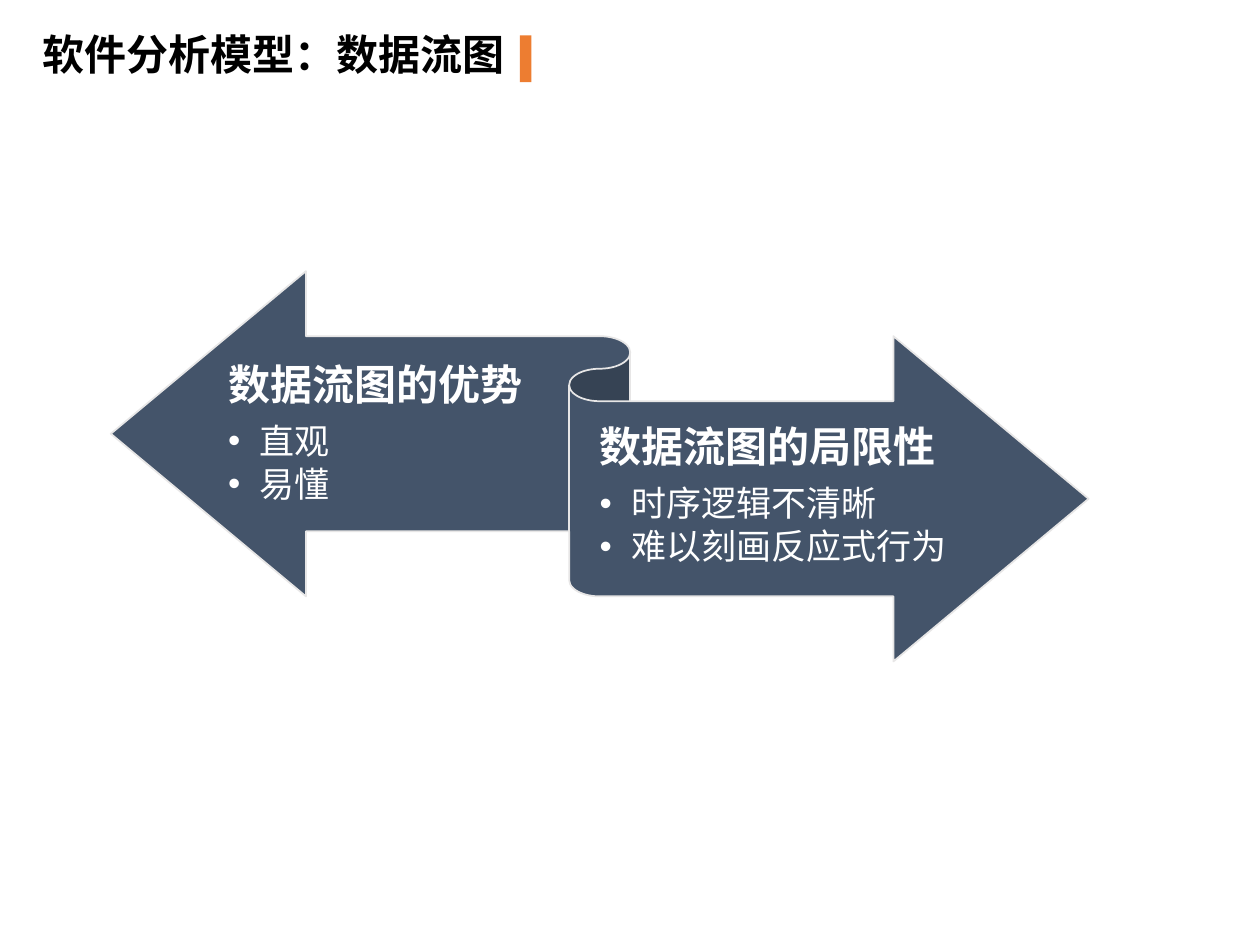
from dataclasses import dataclass

from lxml import etree
from pptx import Presentation
from pptx import util as u
from pptx.dml.color import RGBColor
from pptx.enum import shapes, text
from pptx.oxml.ns import qn


@dataclass(frozen=True)
class Theme:
    """Colours, font and type sizes of the slide."""
    ink: str = "000000"
    paper: str = "FFFFFF"
    accent: str = "ED7D31"
    ribbon: str = "44546A"
    edge: str = "E7E6E6"
    font: str = "Noto Sans CJK SC"
    heading: int = 24
    item: int = 20


THEME = Theme()
WIDTH, HEIGHT = u.Inches(10), u.Inches(7.5)


def share(box, left, top, width, height):
    """Return the part of a box given by shares of its size."""
    x, y, w, h = box
    return tuple(round(v) for v in (x + left * w, y + top * h, width * w, height * h))


def place(part, box):
    """Move a part to a box."""
    part.left, part.top, part.width, part.height = box


def style(paragraph, size, colour, bold):
    """Format the runs of a paragraph for Latin and East Asian text."""
    for run in paragraph.runs:
        font = run.font
        font.size, font.bold, font.name = u.Pt(size), bold, THEME.font
        font.color.rgb = RGBColor.from_string(colour)
        etree.SubElement(run._r.get_or_add_rPr(), qn("a:ea"), typeface=THEME.font)


def add_bullet(paragraph):
    """Give a paragraph a round bullet with a hanging indent."""
    properties = paragraph._p.get_or_add_pPr()
    properties.set("marL", str(u.Inches(0.25)))
    properties.set("indent", str(u.Inches(-0.25)))
    etree.SubElement(properties, qn("a:buFont"), typeface="Arial")
    etree.SubElement(properties, qn("a:buChar"), char="•")


def add_block(slide, kind, box, fill, edge=None):
    """Add a flat preset shape."""
    block = slide.shapes.add_shape(kind, *box)
    block.shadow.inherit = False
    block.fill.solid()
    block.fill.fore_color.rgb = RGBColor.from_string(fill)
    if edge:
        block.line.color.rgb = RGBColor.from_string(edge)
        block.line.width = u.Pt(1)
    else:
        block.line.fill.background()
    return block


def fill_header(slide, box, wording):
    """Place the title and the accent bar after it."""
    title = slide.shapes.title
    place(title, share(box, 0, 0, 1, 1))
    frame = title.text_frame
    frame.text = wording
    frame.vertical_anchor = text.MSO_ANCHOR.TOP
    frame.auto_size = text.MSO_AUTO_SIZE.NONE
    frame.paragraphs[0].alignment = text.PP_ALIGN.LEFT
    style(frame.paragraphs[0], THEME.heading, THEME.ink, True)
    add_block(slide, shapes.MSO_SHAPE.RECTANGLE, share(box, 0.86, 0.2, 0.02, 0.74), THEME.accent)


def fill_side(body, box, heading, items):
    """Write a heading and its bulleted items on one arm of the ribbon."""
    place(body, box)
    frame = body.text_frame
    frame.text = "\n".join([heading, *items])
    frame.vertical_anchor = text.MSO_ANCHOR.MIDDLE
    frame.auto_size = text.MSO_AUTO_SIZE.NONE
    frame.margin_left = frame.margin_right = 0
    frame.margin_top, frame.margin_bottom = u.Inches(0.09), u.Inches(0.1)
    for index, paragraph in enumerate(frame.paragraphs):
        size = THEME.item if index else THEME.heading
        paragraph.level = 1 if index else 0
        paragraph.line_spacing = 0.9
        paragraph.space_before = u.Pt(0)
        paragraph.space_after = u.Pt(size * (0.15 if index else 0.35))
        if index:
            add_bullet(paragraph)
        else:
            properties = paragraph._p.get_or_add_pPr()
            properties.set("marL", "0")
            properties.set("indent", "0")
            etree.SubElement(properties, qn("a:buNone"))
        style(paragraph, size, THEME.paper, not index)


def fill_ribbon(slide, box, sides):
    """Draw the two-way ribbon behind the texts of its two arms."""
    ribbon = add_block(slide, shapes.MSO_SHAPE.LEFT_RIGHT_RIBBON, box, THEME.ribbon, THEME.edge)
    slide.shapes.element.insert(2, ribbon.element)
    arms = [(0.12, 0.175, 0.33, 0.49), (0.5, 0.335, 0.39, 0.49)]
    bodies = list(slide.placeholders)[1:]
    for body, arm, (heading, items) in zip(bodies, arms, sides):
        fill_side(body, share(box, *arm), heading, items)


def main():
    """Build and save the slide."""
    deck = Presentation()
    deck.slide_width, deck.slide_height = WIDTH, HEIGHT
    slide = deck.slides.add_slide(deck.slide_layouts.get_by_name("Two Content"))
    page = (0, 0, WIDTH, HEIGHT)
    fill_header(slide, share(page, 0.024, 0.024, 0.452, 0.067), "软件分析模型：数据流图")
    fill_ribbon(slide, share(page, 0.088, 0.287, 0.776, 0.413), [
        ("数据流图的优势", ["直观", "易懂"]),
        ("数据流图的局限性", ["时序逻辑不清晰", "难以刻画反应式行为"]),
    ])
    deck.save("out.pptx")


if __name__ == "__main__":
    main()
